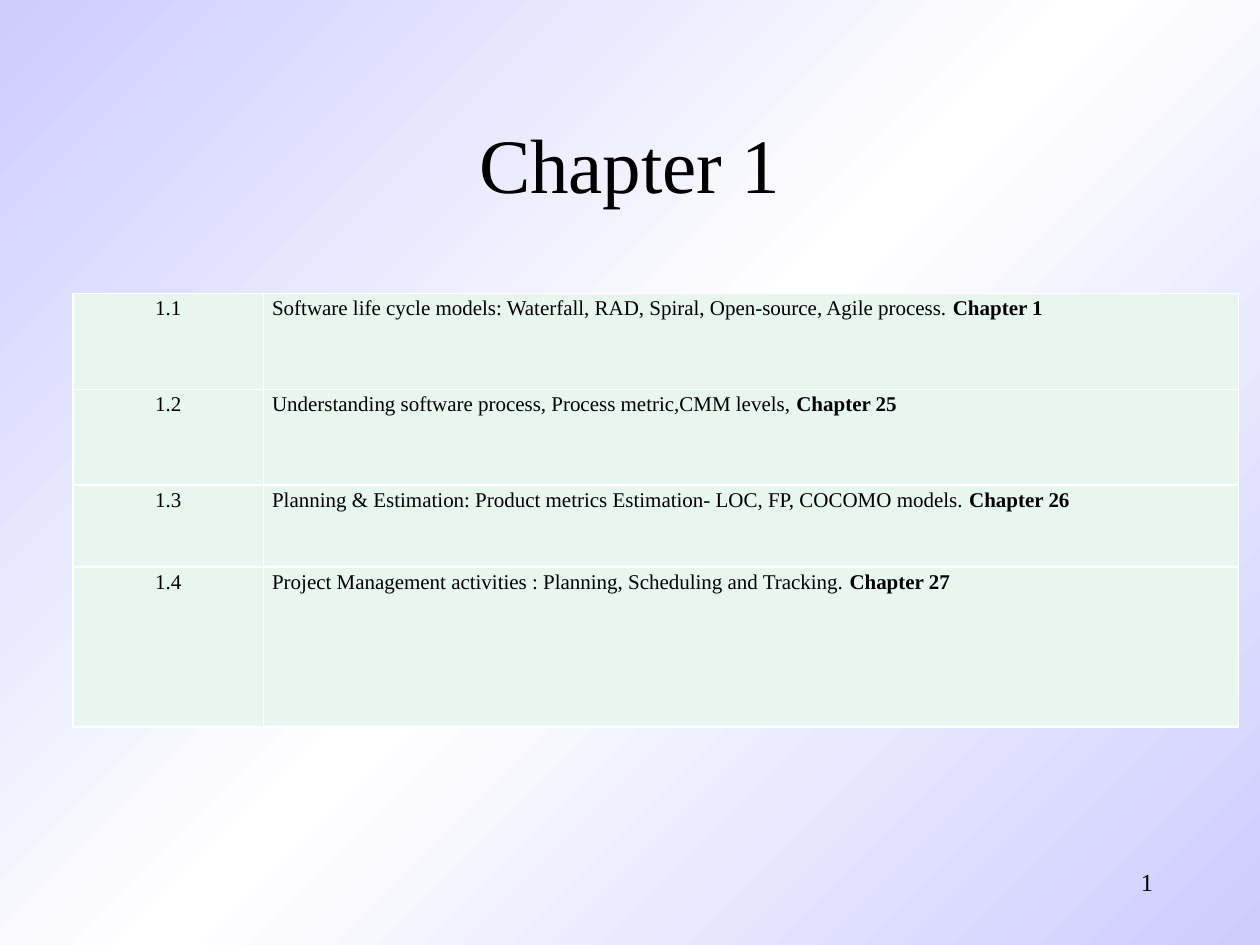
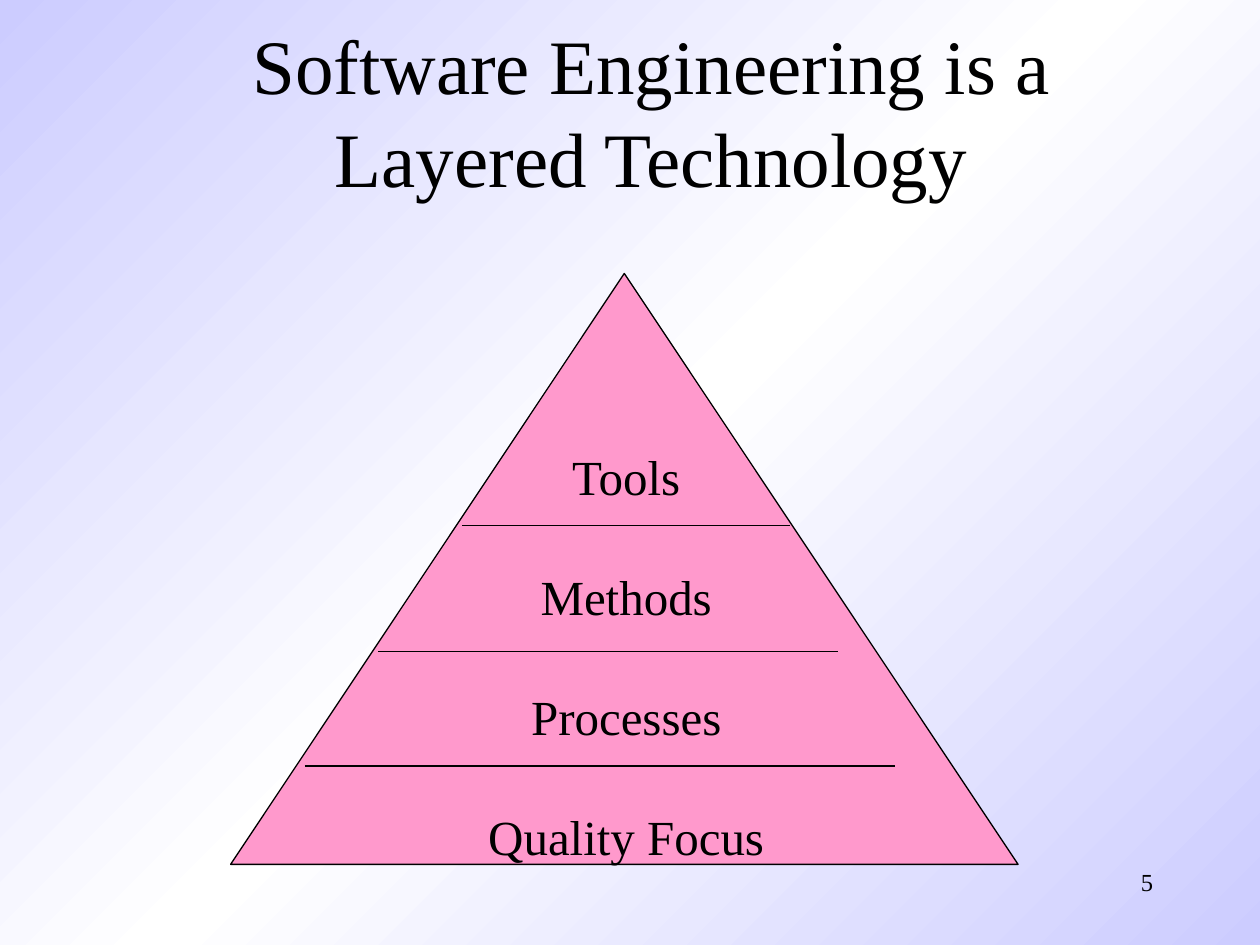
from copy import deepcopy
from typing import NamedTuple

from lxml import etree
from pptx import Presentation
from pptx.dml.color import RGBColor
from pptx.enum.shapes import MSO_CONNECTOR, MSO_SHAPE
from pptx.enum.text import MSO_ANCHOR, PP_ALIGN
from pptx.oxml.ns import qn
from pptx.util import Inches, Pt

LEFT, CENTER, RIGHT = PP_ALIGN.LEFT, PP_ALIGN.CENTER, PP_ALIGN.RIGHT
MIDDLE = MSO_ANCHOR.MIDDLE
STRAIGHT = MSO_CONNECTOR.STRAIGHT
TRIANGLE = MSO_SHAPE.ISOSCELES_TRIANGLE

FONT = "Times New Roman"
COLORS = {
    "ink": "000000",
    "edge": "CCCCFF",
    "white": "FFFFFF",
    "mint": "E7F6EF",
    "pink": "FF99CC",
}


class Box(NamedTuple):
    left: float
    top: float
    width: float
    height: float

    def place(self) -> tuple:
        return tuple(Inches(side) for side in self)


class Topic(NamedTuple):
    code: str
    text: str
    source: str


class Rule(NamedTuple):
    start: float
    end: float
    top: float


NUMBER = Box(7.17, 6.83, 2.08, 0.5)
TABLE = Box(0.58, 2.33, 9.25, 3.44)
COLS = (1.51, 7.74)
ROWS = (0.76, 0.76, 0.65, 1.27)
TOPICS = (
    Topic("1.1", "Software life cycle models: Waterfall, RAD, Spiral, "
          "Open-source, Agile process. ", "Chapter 1"),
    Topic("1.2", "Understanding software process, Process metric,CMM levels, ",
          "Chapter 25"),
    Topic("1.3", "Planning & Estimation: Product metrics Estimation- "
          "LOC, FP, COCOMO models. ", "Chapter 26"),
    Topic("1.4", "Project Management activities : Planning, Scheduling "
          "and Tracking. ", "Chapter 27"),
)
PYRAMID = Box(1.83, 2.17, 6.25, 4.69)
LABELS = Box(3.67, 3.44, 2.6, 3.65)
LAYERS = ("Tools", "Methods", "Processes", "Quality Focus")
RULES = (Rule(3.67, 6.27, 4.17), Rule(3, 6.65, 5.17), Rule(2.42, 7.1, 6.08))


def color(name: str) -> RGBColor:
    return RGBColor.from_string(COLORS[name])


def style(para, size: float, align) -> None:
    para.alignment = align
    for run in para.runs:
        run.font.name = FONT
        run.font.size = Pt(size)
        run.font.color.rgb = color("ink")


def paint_back(master) -> None:
    fill = master.background.fill
    fill.gradient()
    fill.gradient_angle = 315
    stops = next(master.element.cSld.iter(qn("a:gsLst")))
    stops.insert(1, deepcopy(stops[0]))
    for stop, place, name in zip(fill.gradient_stops, (0, 0.5, 1),
                                 ("edge", "white", "edge")):
        stop.position = place
        stop.color.rgb = color(name)


def add_page(deck, title: str, box: Box, number: str):
    page = deck.slides.add_slide(deck.slide_layouts[5])
    head = page.shapes.title
    head.left, head.top, head.width, head.height = box.place()
    head.text_frame.text = title
    head.text_frame.vertical_anchor = MIDDLE
    style(head.text_frame.paragraphs[0], 44, CENTER)
    add_text(page, NUMBER, (number,), 14, RIGHT)
    return page


def add_text(page, box: Box, lines: tuple, size: float, align, gap: float = 0):
    frame = page.shapes.add_textbox(*box.place()).text_frame
    frame.word_wrap = True
    frame.text = "\n".join(lines)
    for index, para in enumerate(frame.paragraphs):
        style(para, size, align)
        if index:
            para.space_before = Pt(gap)
    return frame


def add_border(cell) -> None:
    props = cell._tc.get_or_add_tcPr()
    for index, side in enumerate(("a:lnL", "a:lnR", "a:lnT", "a:lnB")):
        line = etree.Element(qn(side), w=str(Pt(1)))
        solid = etree.SubElement(line, qn("a:solidFill"))
        etree.SubElement(solid, qn("a:srgbClr"), val=COLORS["white"])
        props.insert(index, line)


def fill_cell(cell, parts: tuple, align) -> None:
    cell.fill.solid()
    cell.fill.fore_color.rgb = color("mint")
    cell.margin_left = cell.margin_right = Inches(0.07)
    cell.margin_top = cell.margin_bottom = 0
    para = cell.text_frame.paragraphs[0]
    para.line_spacing = 1.15
    for index, part in enumerate(parts):
        run = para.add_run()
        run.text = part
        run.font.bold = index == 1
    style(para, 12, align)
    add_border(cell)


def add_topics(page) -> None:
    grid = page.shapes.add_table(len(ROWS), len(COLS), *TABLE.place()).table
    grid.first_row = grid.horz_banding = False
    for col, width in zip(grid.columns, COLS):
        col.width = Inches(width)
    for row, height, topic in zip(grid.rows, ROWS, TOPICS):
        row.height = Inches(height)
        fill_cell(row.cells[0], (topic.code,), CENTER)
        fill_cell(row.cells[1], (topic.text, topic.source), LEFT)


def add_rule(page, rule: Rule) -> None:
    top = Inches(rule.top)
    line = page.shapes.add_connector(
        STRAIGHT, Inches(rule.start), top, Inches(rule.end), top)
    line.line.color.rgb = color("ink")
    line.line.width = Pt(0.75)
    etree.SubElement(line._element.spPr, qn("a:effectLst"))


def add_layers(page) -> None:
    shape = page.shapes.add_shape(TRIANGLE, *PYRAMID.place())
    shape.shadow.inherit = False
    shape.fill.solid()
    shape.fill.fore_color.rgb = color("pink")
    shape.line.color.rgb = color("ink")
    shape.line.width = Pt(0.75)
    frame = add_text(page, LABELS, LAYERS, 28, CENTER, 35)
    frame.margin_top = Inches(0.1)
    for rule in RULES:
        add_rule(page, rule)


def main() -> None:
    deck = Presentation()
    deck.slide_width, deck.slide_height = Inches(10), Inches(7.5)
    paint_back(deck.slide_master)
    add_topics(add_page(deck, "Chapter 1", Box(0.75, 0.67, 8.5, 1.25), "1"))
    add_layers(add_page(deck, "Software Engineering is a Layered Technology",
                        Box(0.92, 0.25, 8.5, 1.25), "5"))
    deck.save("out.pptx")


if __name__ == "__main__":
    main()
